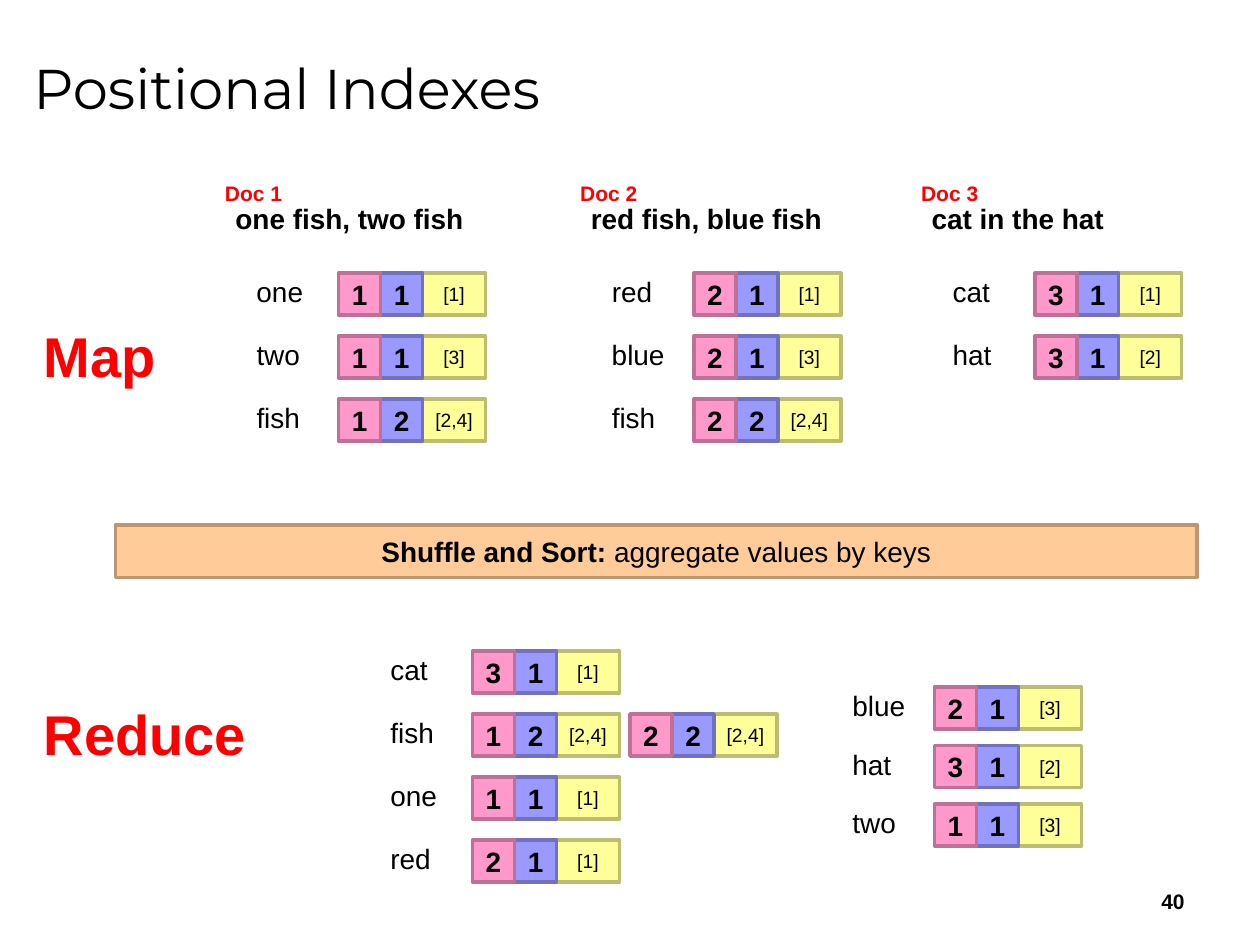
from pptx import Presentation
from pptx.dml.color import RGBColor
from pptx.enum.shapes import MSO_SHAPE
from pptx.enum.text import MSO_ANCHOR, MSO_AUTO_SIZE, PP_ALIGN
from pptx.util import Pt

COLORS = {
    "text": "000000", "accent": "FF0000",
    "pink": "FF99CC", "pink_line": "BD7197",
    "purple": "9999FF", "purple_line": "7171BD",
    "yellow": "FFFF99", "yellow_line": "BDBD71",
    "orange": "FFCC99", "orange_line": "BD9771",
}

# Documents: left, label, text, text width
DOCUMENTS = [
    (139.5, "Doc 1", "one fish, two fish", 147),
    (342.5, "Doc 2", "red fish, blue fish", 148.5),
    (537.3, "Doc 3", "cat in the hat", 114.5),
]

# Index columns: left, top, row pitch, rows of (term, postings);
# a posting is (document, term frequency, positions)
COLUMNS = [
    (139.5, 156, 36, [("one", [("1", "1", "[1]")]),
                      ("two", [("1", "1", "[3]")]),
                      ("fish", [("1", "2", "[2,4]")])]),
    (342.5, 156, 36, [("red", [("2", "1", "[1]")]),
                      ("blue", [("2", "1", "[3]")]),
                      ("fish", [("2", "2", "[2,4]")])]),
    (537.3, 156, 36, [("cat", [("3", "1", "[1]")]),
                      ("hat", [("3", "1", "[2]")])]),
    (216, 372, 36, [("cat", [("3", "1", "[1]")]),
                    ("fish", [("1", "2", "[2,4]"), ("2", "2", "[2,4]")]),
                    ("one", [("1", "1", "[1]")]),
                    ("red", [("2", "1", "[1]")])]),
    (480, 392.5, 33.5, [("blue", [("2", "1", "[3]")]),
                        ("hat", [("3", "1", "[2]")]),
                        ("two", [("1", "1", "[3]")])]),
]
TERM_WIDTHS = {"one": 42, "two": 40, "fish": 40, "red": 38,
               "blue": 45, "cat": 36, "hat": 37}

# Phases: name, top, width
PHASES = [("Map", 180, 79), ("Reduce", 396, 131)]

CELL = 24
POSITIONS_WIDTH = 36
POSTING_OFFSET = 54
POSTING_PITCH = 90


def add_run(paragraph, text, size, bold=False, color="text", font="Arial"):
    run = paragraph.add_run()
    run.text = text
    run.font.size = Pt(size)
    run.font.bold = bold
    run.font.name = font
    run.font.color.rgb = RGBColor.from_string(COLORS[color])


def add_label(shapes, left, top, width, height, text, size, **style):
    box = shapes.add_textbox(Pt(left), Pt(top), Pt(width), Pt(height))
    frame = box.text_frame
    frame.word_wrap = False
    frame.auto_size = MSO_AUTO_SIZE.SHAPE_TO_FIT_TEXT
    add_run(frame.paragraphs[0], text, size, **style)


def add_framed_box(shapes, left, top, width, height, color):
    """Add an outlined rectangle and return its centred paragraph."""
    shape = shapes.add_shape(MSO_SHAPE.RECTANGLE, Pt(left), Pt(top), Pt(width), Pt(height))
    shape.shadow.inherit = False
    shape.fill.solid()
    shape.fill.fore_color.rgb = RGBColor.from_string(COLORS[color])
    shape.line.color.rgb = RGBColor.from_string(COLORS[color + "_line"])
    shape.line.width = Pt(2)
    frame = shape.text_frame
    frame.word_wrap = False
    frame.vertical_anchor = MSO_ANCHOR.MIDDLE
    paragraph = frame.paragraphs[0]
    paragraph.alignment = PP_ALIGN.CENTER
    return paragraph


def add_posting(shapes, left, top, posting):
    document, frequency, positions = posting
    # Back to front, so that the left cells overlap the right ones
    cells = [
        (2 * CELL, POSITIONS_WIDTH, "yellow", positions, 11, False),
        (CELL, CELL, "purple", frequency, 16, True),
        (0, CELL, "pink", document, 16, True),
    ]
    for offset, width, color, text, size, bold in cells:
        paragraph = add_framed_box(shapes, left + offset, top, width, CELL, color)
        add_run(paragraph, text, size, bold)


def add_anchored_text(shapes, left, top, width, height, alignment, text, size, **style):
    box = shapes.add_textbox(Pt(left), Pt(top), Pt(width), Pt(height))
    frame = box.text_frame
    frame.word_wrap = True
    frame.vertical_anchor = MSO_ANCHOR.MIDDLE
    frame.paragraphs[0].alignment = alignment
    add_run(frame.paragraphs[0], text, size, **style)


def main():
    presentation = Presentation()
    presentation.slide_width, presentation.slide_height = Pt(720), Pt(540)
    slide = presentation.slides.add_slide(presentation.slide_layouts[6])
    shapes = slide.shapes

    # Title
    add_anchored_text(shapes, 12, 9, 684, 81, PP_ALIGN.LEFT,
                      "Positional Indexes", 32, font="Montserrat")

    # Terms and their postings
    for left, first_top, pitch, rows in COLUMNS:
        for row, (term, postings) in enumerate(rows):
            top = first_top + row * pitch
            add_label(shapes, left, top - 2.6, TERM_WIDTHS[term], 26.6, term, 16)
            for index, posting in enumerate(postings):
                add_posting(shapes, left + POSTING_OFFSET + index * POSTING_PITCH, top, posting)

    # Shuffle bar
    paragraph = add_framed_box(shapes, 66, 300, 618, 30, "orange")
    add_run(paragraph, "Shuffle and Sort:", 16, bold=True)
    add_run(paragraph, " aggregate values by keys", 16)

    # Phase names
    for name, top, width in PHASES:
        add_label(shapes, 18, top, width, 46, name, 32, bold=True, color="accent")

    # Document headings
    for left, label, text, width in DOCUMENTS:
        group = shapes.add_group_shape()
        add_label(group.shapes, left - 12, 111.6, width, 26.6, text, 16, bold=True)
        add_label(group.shapes, left - 18, 99.4, 47.5, 21.8, label, 12,
                  bold=True, color="accent")

    # Slide number
    add_anchored_text(shapes, 516, 500.5, 168, 28.8, PP_ALIGN.RIGHT, "40", 12, bold=True)

    presentation.save("out.pptx")


if __name__ == "__main__":
    main()
